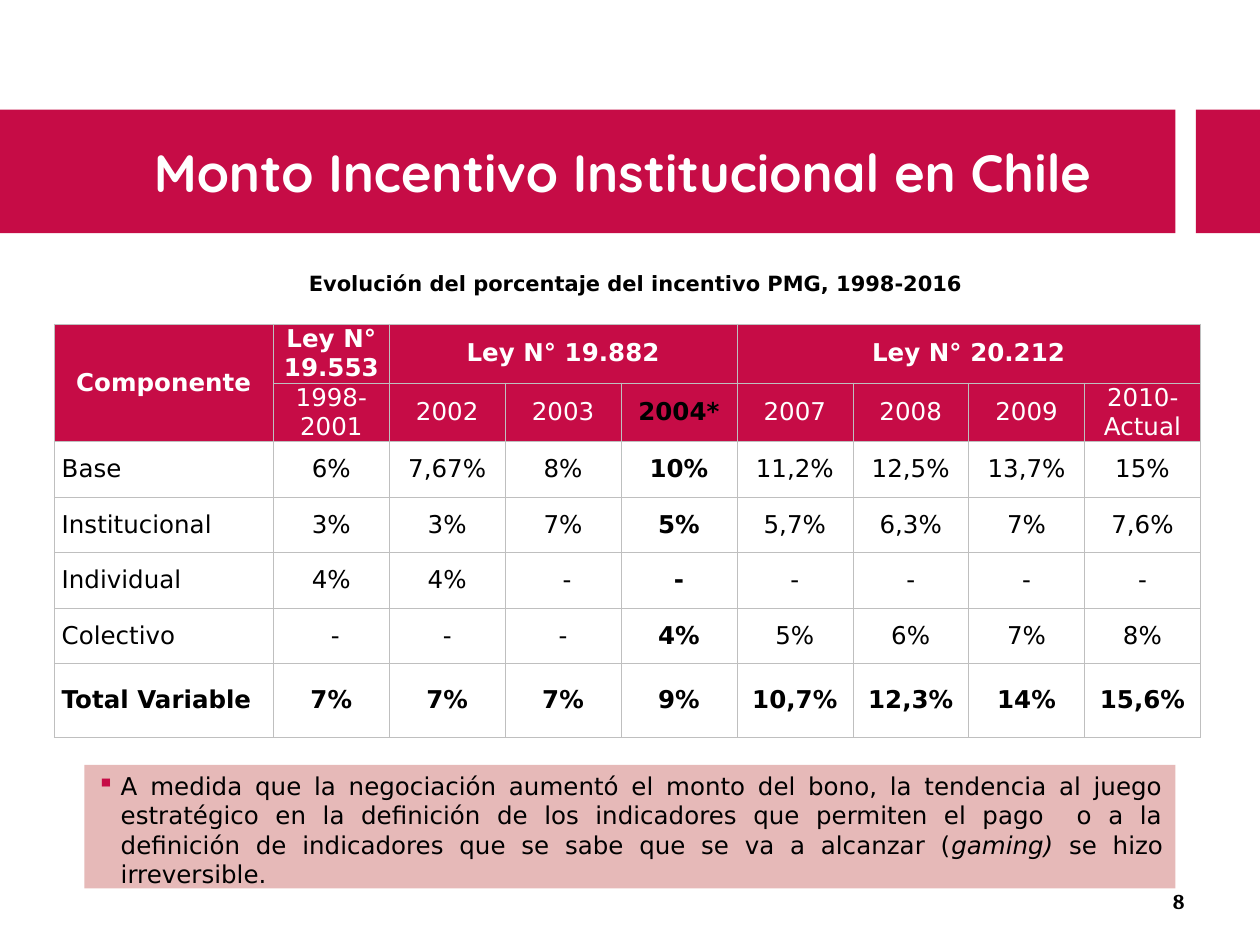
from dataclasses import dataclass

from lxml.etree import SubElement
from pptx import Presentation
from pptx.dml.color import RGBColor
from pptx.enum.shapes import MSO_SHAPE
from pptx.enum.text import MSO_ANCHOR, PP_ALIGN
from pptx.oxml.ns import qn
from pptx.util import Inches, Pt


@dataclass(frozen=True)
class Theme:
    crimson: str = "C60C46"
    rose: str = "E6B9B8"
    white: str = "FFFFFF"
    black: str = "000000"
    grid: str = "BFBFBF"
    title_font: str = "Quicksand"
    body_font: str = "DejaVu Sans"
    number_font: str = "Cambria"
    title_size: float = 30
    body_size: float = 14
    caption_size: float = 12
    grid_width: float = 0.25


THEME = Theme()


@dataclass(frozen=True)
class Box:
    left: float
    top: float
    width: float
    height: float

    def lengths(self) -> list:
        return [Inches(v) for v in (self.left, self.top, self.width, self.height)]


@dataclass(frozen=True)
class TextStyle:
    size: float = THEME.body_size
    font: str = THEME.body_font
    color: str = THEME.black
    bold: bool = False
    italic: bool = False


@dataclass(frozen=True)
class HeaderSpan:
    text: str
    row: int
    column: int
    rows: int = 1
    columns: int = 1


def add_run(paragraph, text: str, style: TextStyle) -> None:
    run = paragraph.add_run()
    run.text = text
    run.font.size = Pt(style.size)
    run.font.name = style.font
    run.font.bold = style.bold
    run.font.italic = style.italic
    run.font.color.rgb = RGBColor.from_string(style.color)


def add_block(slide, box: Box, color: str):
    block = slide.shapes.add_shape(MSO_SHAPE.RECTANGLE, *box.lengths())
    block.shadow.inherit = False
    block.fill.solid()
    block.fill.fore_color.rgb = RGBColor.from_string(color)
    block.line.fill.background()
    return block


def add_label(slide, box: Box, text: str, style: TextStyle, align=PP_ALIGN.CENTER, side: float = 0.1) -> None:
    frame = slide.shapes.add_textbox(*box.lengths()).text_frame
    frame.word_wrap = True
    frame.vertical_anchor = MSO_ANCHOR.MIDDLE
    frame.margin_left = frame.margin_right = Inches(side)
    frame.paragraphs[0].alignment = align
    add_run(frame.paragraphs[0], text, style)


def style_cell(cell, fill: str) -> None:
    cell.vertical_anchor = MSO_ANCHOR.MIDDLE
    cell.margin_left = cell.margin_right = Inches(0.06)
    cell.margin_top = cell.margin_bottom = 0
    properties = cell._tc.get_or_add_tcPr()
    for edge in ("lnL", "lnR", "lnT", "lnB"):
        border = SubElement(properties, qn(f"a:{edge}"), w=str(Pt(THEME.grid_width)))
        SubElement(SubElement(border, qn("a:solidFill")), qn("a:srgbClr"), val=THEME.grid)
    cell.fill.solid()
    cell.fill.fore_color.rgb = RGBColor.from_string(fill)


def write_cell(cell, text: str, style: TextStyle, align=PP_ALIGN.CENTER) -> None:
    paragraph = cell.text_frame.paragraphs[0]
    paragraph.alignment = align
    add_run(paragraph, text, style)


# Table content
LAWS = [
    HeaderSpan("Componente", 0, 0, rows=2),
    HeaderSpan("Ley N° 19.553", 0, 1),
    HeaderSpan("Ley N° 19.882", 0, 2, columns=3),
    HeaderSpan("Ley N° 20.212", 0, 5, columns=4),
]
YEARS = ["1998-2001", "2002", "2003", "2004*", "2007", "2008", "2009", "2010-Actual"]
COMPONENTS = [
    ["Base", "6%", "7,67%", "8%", "10%", "11,2%", "12,5%", "13,7%", "15%"],
    ["Institucional", "3%", "3%", "7%", "5%", "5,7%", "6,3%", "7%", "7,6%"],
    ["Individual", "4%", "4%", "\u00a0-", "-", "-", "-", "-", "-"],
    ["Colectivo", "\u00a0-", "-", "-", "4%", "5%", "6%", "7%", "8%"],
    ["Total Variable", "7%", "7%", "7%", "9%", "10,7%", "12,3%", "14%", "15,6%"],
]
COLUMN_WIDTHS = [1.74] + [0.92] * len(YEARS)
ROW_HEIGHTS = [0.46] * 2 + [0.44] * 4 + [0.59]
HIGHLIGHT_YEAR = "2004*"


def add_incentive_table(slide, left: float, top: float) -> None:
    box = Box(left, top, sum(COLUMN_WIDTHS), sum(ROW_HEIGHTS))
    table = slide.shapes.add_table(len(ROW_HEIGHTS), len(COLUMN_WIDTHS), *box.lengths()).table
    for column, width in zip(table.columns, COLUMN_WIDTHS):
        column.width = Inches(width)
    for index, (row, height) in enumerate(zip(table.rows, ROW_HEIGHTS)):
        row.height = Inches(height)
        for cell in row.cells:
            style_cell(cell, THEME.crimson if index < 2 else THEME.white)

    # Laws and years
    for law in LAWS:
        cell = table.cell(law.row, law.column)
        if law.rows * law.columns > 1:
            cell.merge(table.cell(law.row + law.rows - 1, law.column + law.columns - 1))
        write_cell(cell, law.text, TextStyle(color=THEME.white, bold=True))
    for column, year in enumerate(YEARS, start=1):
        marked = year == HIGHLIGHT_YEAR
        style = TextStyle(color=THEME.black if marked else THEME.white, bold=marked)
        write_cell(table.cell(1, column), year, style)

    # Percentages
    marked_column = YEARS.index(HIGHLIGHT_YEAR) + 1
    for row, values in enumerate(COMPONENTS, start=2):
        is_total = row == len(ROW_HEIGHTS) - 1
        for column, value in enumerate(values):
            style = TextStyle(bold=is_total or column == marked_column)
            align = PP_ALIGN.CENTER if column else PP_ALIGN.LEFT
            write_cell(table.cell(row, column), value, style, align)


def add_conclusion(slide, box: Box) -> None:
    frame = add_block(slide, box, THEME.rose).text_frame
    frame.word_wrap = True
    frame.vertical_anchor = MSO_ANCHOR.TOP
    paragraph = frame.paragraphs[0]
    paragraph.alignment = PP_ALIGN.JUSTIFY
    paragraph.space_before = Pt(0.2 * THEME.body_size)
    properties = paragraph._p.get_or_add_pPr()
    properties.set("marL", str(Inches(0.19)))
    properties.set("indent", str(-Inches(0.19)))
    SubElement(SubElement(properties, qn("a:buClr")), qn("a:srgbClr"), val=THEME.crimson)
    SubElement(properties, qn("a:buChar"), char="▪")
    add_run(paragraph, "A medida que la negociación aumentó el monto del bono, la tendencia al juego "
            "estratégico en la definición de los indicadores que permiten el pago  o a la "
            "definición de indicadores que se sabe que se va a alcanzar (", TextStyle())
    add_run(paragraph, "gaming)", TextStyle(italic=True))
    add_run(paragraph, " se hizo irreversible.", TextStyle())


presentation = Presentation()
presentation.slide_width, presentation.slide_height = Inches(10), Inches(7.5)
slide = presentation.slides.add_slide(presentation.slide_layouts[6])

# Title band
for band in (Box(0, 0.87, 9.33, 0.98), Box(9.49, 0.87, 0.51, 0.98)):
    add_block(slide, band, THEME.crimson)
add_label(slide, Box(0.67, 0.87, 8.66, 0.98), "Monto Incentivo Institucional en Chile ",
          TextStyle(THEME.title_size, THEME.title_font, THEME.white, bold=True), side=0)

# Page number
add_label(slide, Box(7.17, 6.95, 2.33, 0.4), "8",
          TextStyle(THEME.caption_size, THEME.number_font, bold=True), PP_ALIGN.RIGHT)

# Table with its caption
add_incentive_table(slide, 0.43, 2.57)
add_label(slide, Box(2.17, 2.1, 5.75, 0.3), "Evolución del porcentaje del incentivo PMG, 1998-2016",
          TextStyle(THEME.caption_size, bold=True))

# Conclusion
add_conclusion(slide, Box(0.67, 6.07, 8.66, 0.98))

presentation.save("out.pptx")
